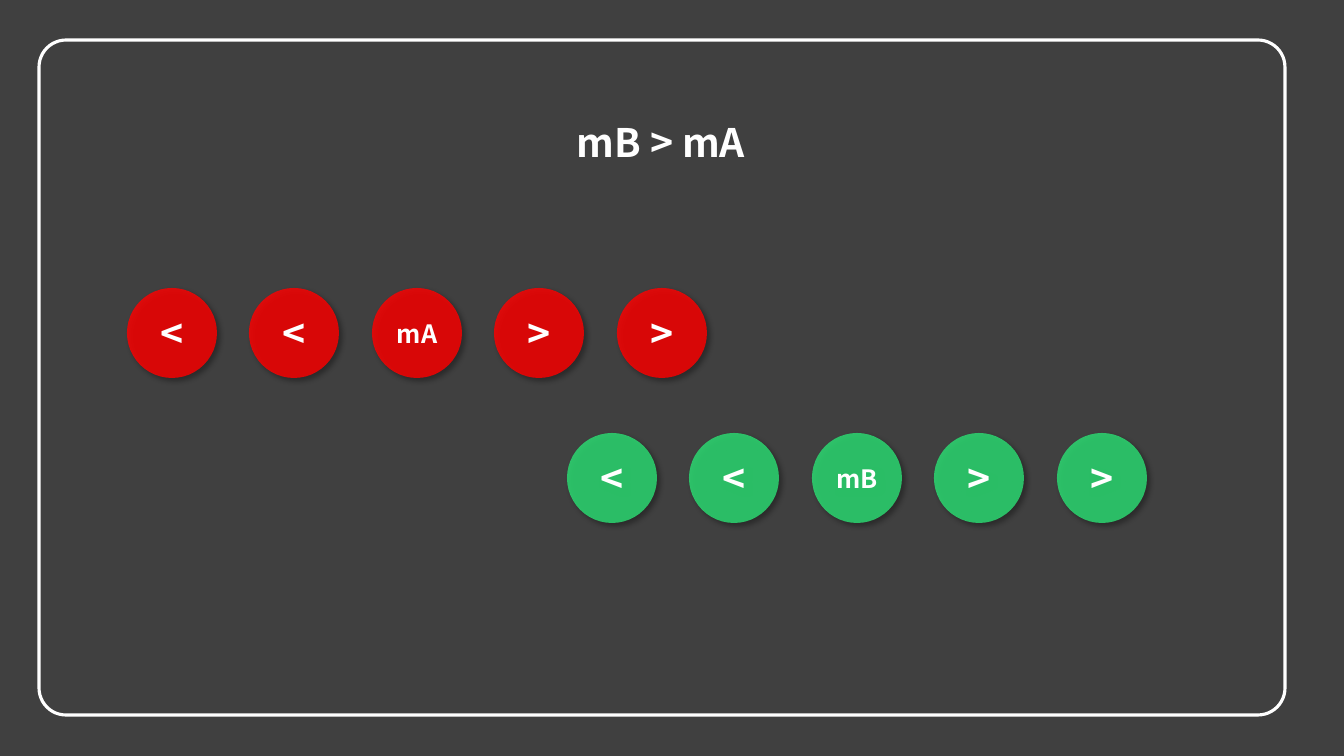
"""Draw two rows of signed discs under the heading mB > mA."""
from lxml import etree
from pptx import Presentation
from pptx.dml.color import RGBColor
from pptx.enum.shapes import MSO_SHAPE
from pptx.enum.text import MSO_ANCHOR, MSO_AUTO_SIZE, PP_ALIGN
from pptx.oxml import parse_xml
from pptx.oxml.ns import qn
from pptx.util import Pt

OVAL, ROUND = MSO_SHAPE.OVAL, MSO_SHAPE.ROUNDED_RECTANGLE
MIDDLE, CENTER = MSO_ANCHOR.MIDDLE, PP_ALIGN.CENTER
GROW = MSO_AUTO_SIZE.SHAPE_TO_FIT_TEXT

THEME = {
    "back": RGBColor.from_string("404040"),
    "white": RGBColor.from_string("FFFFFF"),
    "red": RGBColor.from_string("FF0000"),
    "green": RGBColor.from_string("2BDE73"),
    "font": "Noto Sans CJK SC",
    "large": Pt(28),
    "small": Pt(18),
    "line": Pt(2.25),
    "alpha": "82000",
}
SHADOW = """<a:outerShdw xmlns:a="http://schemas.openxmlformats.org/drawingml/2006/main"
 blurRad="50800" dist="38100" dir="2700000" algn="tl" rotWithShape="0">
 <a:srgbClr val="000000"><a:alpha val="40000"/></a:srgbClr></a:outerShdw>"""

SCALE = 914400 / 100.8
DISC = 90


def box(*sides):
    """Turn px lengths into EMU."""
    return [round(side * SCALE) for side in sides]


def label(shape, text, size, frame, align=None):
    """Write one bold white line in a shape."""
    for key, value in frame.items():
        setattr(shape.text_frame, key, value)
    para = shape.text_frame.paragraphs[0]
    para.alignment = align
    run = para.add_run()
    run.text = text
    run.font.color.rgb = THEME["white"]
    for key, value in {"name": THEME["font"], "size": THEME[size], "bold": True}.items():
        setattr(run.font, key, value)


deck = Presentation()
deck.slide_width, deck.slide_height = box(1344, 756)
slide = deck.slides.add_slide(deck.slide_layouts[6])
slide.background.fill.solid()
slide.background.fill.fore_color.rgb = THEME["back"]

inner = {"vertical_anchor": MIDDLE, "word_wrap": False, "margin_left": 0, "margin_right": 0}
rows = [("mA", "red", 127, 288), ("mB", "green", 567, 433)]
for name, color, left, top in rows:
    for step, sign in enumerate(["<", "<", name, ">", ">"]):
        disc = slide.shapes.add_shape(OVAL, *box(left + step * 245 // 2, top, DISC, DISC))
        disc.fill.solid()
        disc.fill.fore_color.rgb = THEME[color]
        disc.line.fill.background()
        disc.shadow.inherit = False
        props = disc._element.spPr
        tint = props.find(qn("a:solidFill")).find(qn("a:srgbClr"))
        etree.SubElement(tint, qn("a:alpha"), val=THEME["alpha"])
        props.find(qn("a:effectLst")).append(parse_xml(SHADOW))
        label(disc, sign, "small" if sign == name else "large", inner, CENTER)

title = slide.shapes.add_textbox(*box(567, 113, 191, 57))
label(title, "mB > mA", "large", {"word_wrap": False, "auto_size": GROW})

frame = slide.shapes.add_shape(ROUND, *box(39, 40, 1246, 675))
frame.adjustments[0] = 0.04
frame.fill.background()
frame.line.color.rgb = THEME["white"]
frame.line.width = THEME["line"]
frame.shadow.inherit = False

deck.save("out.pptx")
